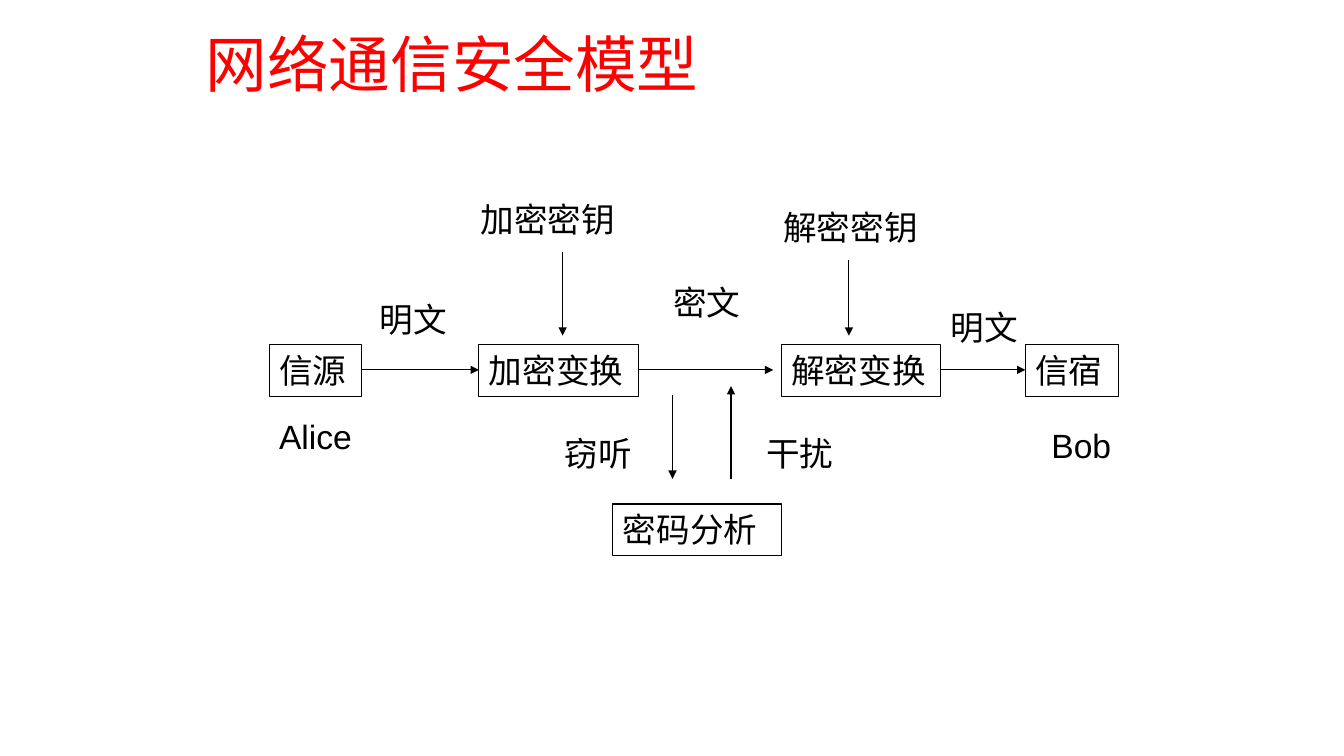
"""Builds a slide showing the secure network communication model."""
from lxml import etree
from pptx import Presentation, util as u
from pptx.dml.color import RGBColor
from pptx.enum import shapes, text
from pptx.oxml.ns import qn

BLACK = RGBColor(0, 0, 0)
RED = RGBColor(255, 0, 0)
LATIN, CJK = "Arial", "Noto Sans CJK SC"
HEIGHT = 0.51
ROW_TOP, ROW_MID = 3.42, 3.67

BOXES = [
    ("信源", 2.67, ROW_TOP, 0.92),
    ("加密变换", 4.75, ROW_TOP, 1.58),
    ("解密变换", 7.75, ROW_TOP, 1.58),
    ("信宿", 10.17, ROW_TOP, 0.92),
    ("密码分析", 6.08, 5, 1.67),
]
LABELS = [
    ("明文", 3.67, 2.92, 1),
    ("密文", 6.58, 2.75, 0.92),
    ("明文", 9.33, 3, 1),
    ("窃听", 5.5, 4.25, 1),
    ("干扰", 7.5, 4.25, 1),
    ("加密密钥", 4.67, 1.92, 1.83),
    ("解密密钥", 7.67, 2, 1.83),
    ("Alice", 2.67, 4.08, 1.24),
    ("Bob", 10.33, 4.17, 1),
]
ARROWS = [
    (3.58, ROW_MID, 4.75, ROW_MID),
    (6.33, ROW_MID, 7.67, ROW_MID),
    (9.33, ROW_MID, 10.17, ROW_MID),
    (6.67, 3.92, 6.67, 4.75),
    (7.25, 4.75, 7.25, 3.83),
    (5.58, 2.5, 5.58, 3.33),
    (8.42, 2.58, 8.42, 3.33),
]


def set_text(sp, words, size, color, font):
    """Write left-aligned words in one font, with a CJK face for Chinese."""
    tf = sp.text_frame
    tf.text = words
    tf.word_wrap = True
    p = tf.paragraphs[0]
    p.alignment = text.PP_ALIGN.LEFT
    r = p.runs[0]
    r.font.size = u.Pt(size)
    r.font.name = font
    r.font.color.rgb = color
    etree.SubElement(r._r.get_or_add_rPr(), qn("a:ea"), typeface=CJK)
    return tf


def add_title(s, words):
    """Place and format the title placeholder."""
    sp = s.shapes.title
    sp.left, sp.top = u.Inches(1.94), u.Inches(0.31)
    sp.width, sp.height = u.Inches(7.85), u.Inches(0.73)
    tf = set_text(sp, words, 44, RED, CJK)
    tf.auto_size = text.MSO_AUTO_SIZE.NONE
    tf.vertical_anchor = text.MSO_ANCHOR.MIDDLE
    tf.paragraphs[0].line_spacing = 0.9


def add_box(s, words, left, top, width):
    """Add an outlined process box."""
    sp = s.shapes.add_shape(shapes.MSO_SHAPE.RECTANGLE, u.Inches(left),
                            u.Inches(top), u.Inches(width), u.Inches(HEIGHT))
    sp.shadow.inherit = False
    sp.fill.background()
    sp.line.color.rgb = BLACK
    sp.line.width = u.Pt(0.75)
    tf = set_text(sp, words, 24, BLACK, LATIN)
    tf.vertical_anchor = text.MSO_ANCHOR.TOP


def add_label(s, words, left, top, width):
    """Add a free-standing label."""
    sp = s.shapes.add_textbox(u.Inches(left), u.Inches(top),
                              u.Inches(width), u.Inches(HEIGHT))
    set_text(sp, words, 24, BLACK, LATIN)


def add_arrow(s, x1, y1, x2, y2):
    """Add a straight arrow pointing at its second end."""
    sp = s.shapes.add_connector(shapes.MSO_CONNECTOR.STRAIGHT, u.Inches(x1),
                                u.Inches(y1), u.Inches(x2), u.Inches(y2))
    sp.line.color.rgb = BLACK
    sp.line.width = u.Pt(0.75)
    etree.SubElement(sp.line._get_or_add_ln(), qn("a:tailEnd"), type="triangle")
    etree.SubElement(sp._element.spPr, qn("a:effectLst"))


def main():
    """Build and save the slide."""
    prs = Presentation()
    prs.slide_width, prs.slide_height = u.Inches(13.33), u.Inches(7.5)
    s = prs.slides.add_slide(prs.slide_layouts.get_by_name("Title Only"))
    add_title(s, "网络通信安全模型")
    for box in BOXES:
        add_box(s, *box)
    for label in LABELS:
        add_label(s, *label)
    for arrow in ARROWS:
        add_arrow(s, *arrow)
    prs.save("out.pptx")


if __name__ == "__main__":
    main()
